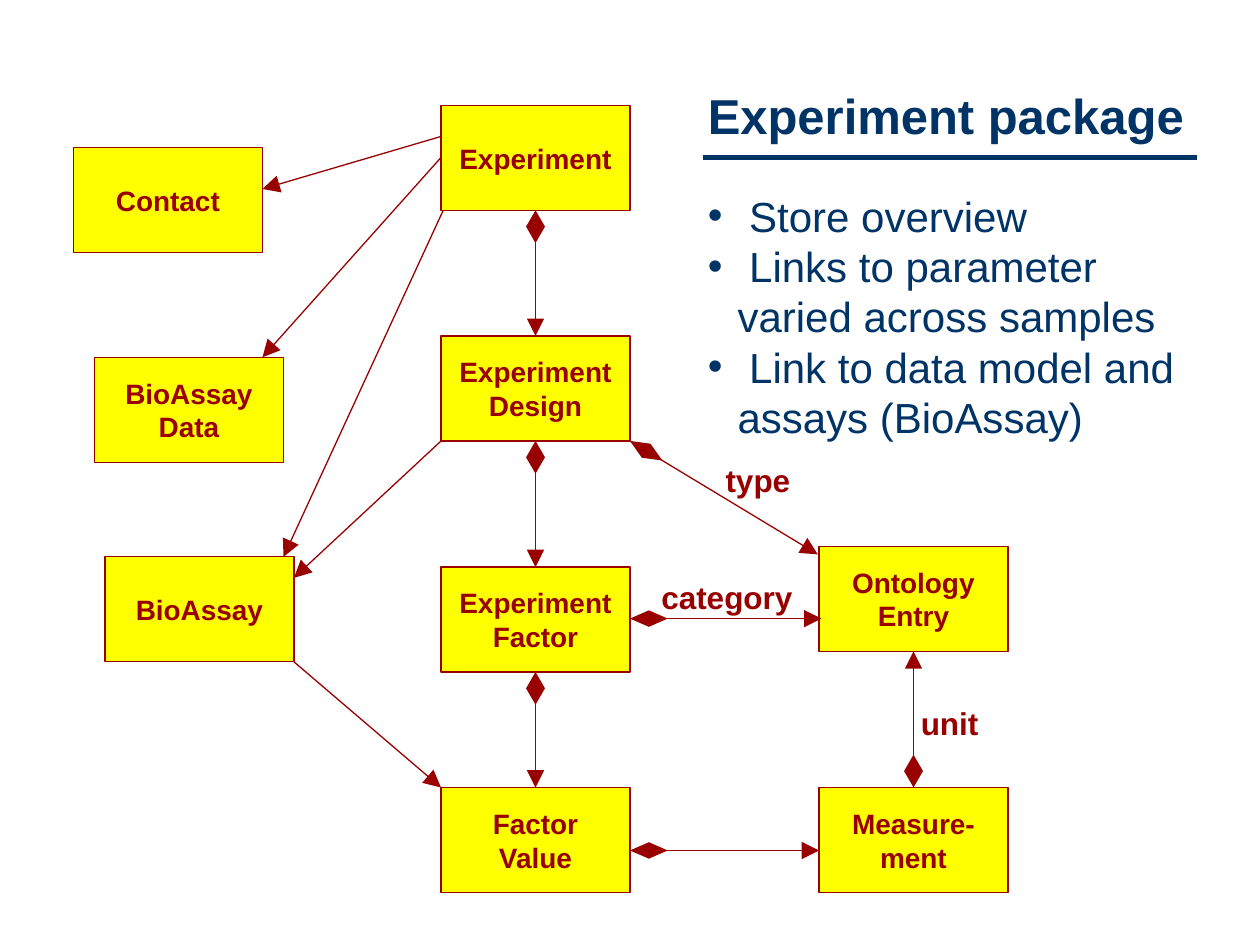
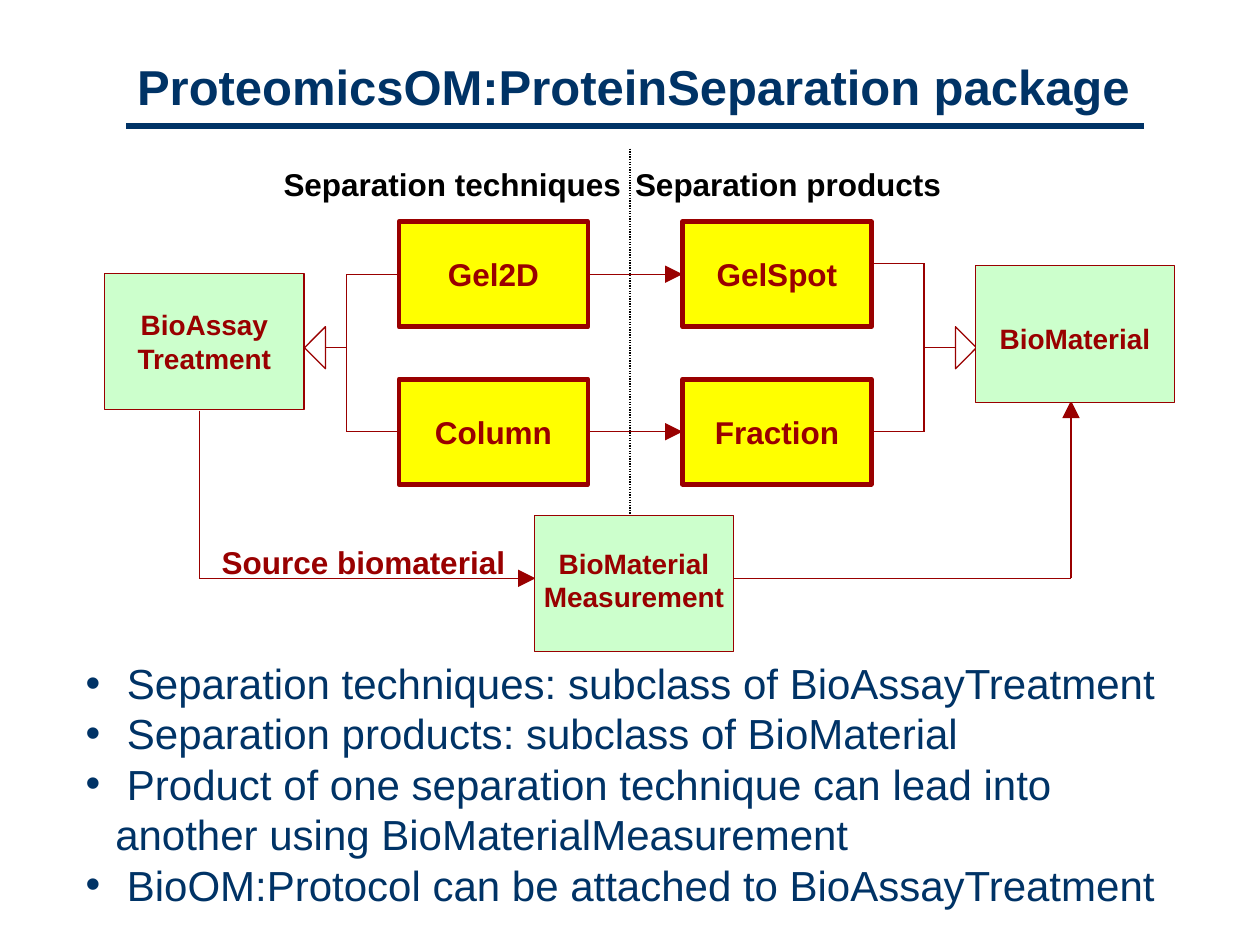
from dataclasses import dataclass
from math import atan2, cos, degrees, sin
from typing import Any, NamedTuple

from pptx import Presentation
from pptx.dml.color import RGBColor
from pptx.enum import dml, shapes, text
from pptx.oxml import ns
from pptx.oxml.xmlchemy import OxmlElement
from pptx.slide import Slide
from pptx.util import Pt


@dataclass(frozen=True)
class Theme:
    font: str = "Arial"
    navy: RGBColor = RGBColor(0x00, 0x33, 0x66)
    maroon: RGBColor = RGBColor(0x99, 0x00, 0x00)
    yellow: RGBColor = RGBColor(0xFF, 0xFF, 0x00)
    mint: RGBColor = RGBColor(0xCC, 0xFF, 0xCC)
    black: RGBColor = RGBColor(0x00, 0x00, 0x00)
    title: float = 28
    body: float = 24
    label: float = 18
    entity: float = 16
    hanging: float = 17
    hairline: float = 0.74
    heavy: float = 2.69
    rule: float = 3


THEME = Theme()
CLASS_W, CLASS_H = 108, 60
PARENT_W, PARENT_H = 114, 78
LABEL_SLACK = 14


class Point(NamedTuple):
    x: float
    y: float


class Frame(NamedTuple):
    left: float
    top: float
    width: float
    height: float


@dataclass(frozen=True)
class Entity:
    name: str
    left: float
    top: float
    width: float = CLASS_W
    height: float = CLASS_H
    fill: RGBColor = THEME.yellow
    border: float = THEME.hairline
    size: float = THEME.entity
    inset: float = 7.2
    text_drop: float = 0


@dataclass(frozen=True)
class Link:
    start: Point
    end: Point
    arrow: bool = True
    color: RGBColor = THEME.maroon
    width: float = THEME.hairline
    dash: Any = None


@dataclass(frozen=True)
class Label:
    wording: str
    frame: Frame
    color: RGBColor = THEME.maroon
    size: float = THEME.label
    align: Any = text.PP_ALIGN.LEFT


def apply(target: Any, values: dict[str, Any]) -> None:
    for name, value in values.items():
        setattr(target, name, value)


def write(frame: Any, lines: list[str], size: float, color: RGBColor,
          bold: bool = True, align: Any = text.PP_ALIGN.LEFT) -> None:
    for index, line in enumerate(lines):
        paragraph = frame.paragraphs[0] if index == 0 else frame.add_paragraph()
        paragraph.alignment = align
        run = paragraph.add_run()
        run.text = line
        apply(run.font, {"name": THEME.font, "size": Pt(size), "bold": bold})
        run.font.color.rgb = color


def draw_entity(slide: Slide, entity: Entity) -> None:
    box = slide.shapes.add_shape(
        shapes.MSO_SHAPE.RECTANGLE,
        *map(Pt, (entity.left, entity.top, entity.width, entity.height)))
    box.shadow.inherit = False
    box.fill.solid()
    box.fill.fore_color.rgb = entity.fill
    box.line.color.rgb = THEME.maroon
    box.line.width = Pt(entity.border)
    apply(box.text_frame, {
        "word_wrap": True,
        "vertical_anchor": text.MSO_ANCHOR.MIDDLE,
        "margin_left": Pt(entity.inset),
        "margin_right": Pt(entity.inset),
        "margin_top": Pt(max(2 * entity.text_drop, 0)),
        "margin_bottom": Pt(max(-2 * entity.text_drop, 0)),
    })
    write(box.text_frame, [entity.name], entity.size, THEME.maroon,
          align=text.PP_ALIGN.CENTER)


def draw_link(slide: Slide, link: Link) -> None:
    connector = slide.shapes.add_connector(
        shapes.MSO_CONNECTOR.STRAIGHT, *map(Pt, (*link.start, *link.end)))
    connector.line.color.rgb = link.color
    apply(connector.line, {"width": Pt(link.width), "dash_style": link.dash})
    properties = connector._element.spPr
    if link.arrow:
        head = OxmlElement("a:tailEnd")
        for name, value in {"type": "triangle", "w": "lg", "len": "lg"}.items():
            head.set(name, value)
        properties.find(ns.qn("a:ln")).append(head)
    properties.append(OxmlElement("a:effectLst"))


def draw_composition(slide: Slide, start: Point, end: Point) -> None:
    draw_link(slide, Link(start, end))
    angle = atan2(end.y - start.y, end.x - start.x)
    upright = start.x == end.x
    width, height = (10.8, 18.7) if upright else (21.6, 9.4)
    reach = max(width, height) / 2
    center = Point(start.x + reach * cos(angle), start.y + reach * sin(angle))
    diamond = slide.shapes.add_shape(
        shapes.MSO_SHAPE.DIAMOND,
        *map(Pt, (center.x - width / 2, center.y - height / 2, width, height)))
    diamond.rotation = 0 if upright else degrees(angle)
    diamond.shadow.inherit = False
    diamond.fill.solid()
    diamond.fill.fore_color.rgb = THEME.maroon
    diamond.line.fill.background()


def draw_generalisation(slide: Slide, tip: Point, trunk_x: float,
                        child_x: float, child_ys: tuple[float, float]) -> None:
    base_x = tip.x + (12 if trunk_x > tip.x else -12)
    outline = slide.shapes.build_freeform(Pt(tip.x), Pt(tip.y))
    outline.add_line_segments(
        [(Pt(base_x), Pt(tip.y - 12)), (Pt(base_x), Pt(tip.y + 12))], close=True)
    triangle = outline.convert_to_shape()
    triangle.shadow.inherit = False
    triangle.fill.background()
    triangle.line.color.rgb = THEME.maroon
    triangle.line.width = Pt(THEME.hairline)
    upper, lower = (Point(trunk_x, y) for y in child_ys)
    branches = [(Point(base_x, tip.y), Point(trunk_x, tip.y)), (upper, lower)]
    branches += [(corner, Point(child_x, corner.y)) for corner in (upper, lower)]
    for start, end in branches:
        draw_link(slide, Link(start, end, arrow=False))


def draw_label(slide: Slide, label: Label) -> None:
    left, top, width, height = label.frame
    if label.align == text.PP_ALIGN.CENTER:
        left -= LABEL_SLACK / 2
    caption = slide.shapes.add_textbox(
        *map(Pt, (left, top, width + LABEL_SLACK, height))).text_frame
    caption.word_wrap = True
    write(caption, [label.wording], label.size, label.color, align=label.align)


def draw_title(slide: Slide, title: str, frame: Frame, start: Point, end_x: float) -> None:
    draw_label(slide, Label(title, frame, THEME.navy, THEME.title))
    draw_link(slide, Link(start, Point(end_x, start.y), False, THEME.navy, THEME.rule))


def draw_bullets(slide: Slide, frame: Frame, points: list[str]) -> None:
    summary = slide.shapes.add_textbox(*map(Pt, frame)).text_frame
    summary.word_wrap = True
    write(summary, points, THEME.body, THEME.navy, bold=False)
    for paragraph in summary.paragraphs:
        properties = paragraph._p.get_or_add_pPr()
        properties.set("marL", str(Pt(THEME.hanging)))
        properties.set("indent", str(-Pt(THEME.hanging)))
        tint = OxmlElement("a:buClr")
        swatch = OxmlElement("a:srgbClr")
        swatch.set("val", str(THEME.navy))
        tint.append(swatch)
        typeface = OxmlElement("a:buFont")
        typeface.set("typeface", THEME.font)
        bullet = OxmlElement("a:buChar")
        bullet.set("char", "•")
        properties.extend([tint, typeface, bullet])


def build_experiment(slide: Slide) -> None:
    core_x, value_x = 252, 468
    core_mid, value_mid = core_x + CLASS_W / 2, value_x + CLASS_W / 2
    core_right = core_x + CLASS_W
    experiment, design, factor, value = 60.2, 192, 324, 450
    ontology = 312.2

    draw_link(slide, Link(Point(264.2, 96.5), Point(162, 318.2)))
    for entity in (
        Entity("Experiment", core_x, experiment),
        Entity("Experiment Design", core_x, design),
        Entity("Experiment Factor", core_x, factor),
        Entity("Factor Value", core_x, value),
        Entity("Ontology Entry", value_x, ontology),
        Entity("Measure-ment", value_x, value),
        Entity("Contact", 42, 84.2),
        Entity("BioAssay Data", 54, 204.2),
        Entity("BioAssay", 60, 318.2),
    ):
        draw_entity(slide, entity)

    for start, end in (
        (Point(core_x, 78), Point(150, 108)),
        (Point(core_x, 90), Point(150, 204.2)),
        (Point(core_x, design + CLASS_H), Point(168, 330.2)),
        (Point(168, 378.2), Point(core_x, value)),
    ):
        draw_link(slide, Link(start, end))

    for owner, part in ((experiment, design), (design, factor), (factor, value)):
        draw_composition(slide, Point(core_mid, owner + CLASS_H), Point(core_mid, part))
    for start, end in (
        (Point(core_right, design + CLASS_H), Point(467.3, 316.8)),
        (Point(core_right, 353.5), Point(469.4, 353.5)),
        (Point(core_right, 486), Point(value_x, 486)),
        (Point(value_mid, value), Point(value_mid, ontology + CLASS_H)),
    ):
        draw_composition(slide, start, end)

    draw_title(slide, "Experiment package", Frame(397.4, 45.4, 285.8, 41),
               Point(402, 90), 684)
    draw_bullets(slide, Frame(397.4, 105.1, 290.2, 151.2), [
        " Store overview",
        " Links to parameter varied across samples",
        " Link to data model and assays (BioAssay)",
    ])
    for role in (
        Label("type", Frame(407.5, 260, 51.1, 28.8)),
        Label("category", Frame(370.8, 326.9, 89.3, 28.8)),
        Label("unit", Frame(519.1, 398.9, 47.5, 28.8)),
    ):
        draw_label(slide, role)


def build_separation(slide: Slide) -> None:
    technique_x, product_x = 228, 390
    gel, column = 126.7, 216.7
    gel_mid, column_mid = gel + CLASS_H / 2, column + CLASS_H / 2
    source_y = 330.5

    for name, left, top in (
        ("Gel2D", technique_x, gel), ("Column", technique_x, column),
        ("GelSpot", product_x, gel), ("Fraction", product_x, column),
    ):
        draw_entity(slide, Entity(name, left, top, border=THEME.heavy, size=THEME.label))

    draw_generalisation(slide, Point(174, 198.7), 198, technique_x, (gel_mid, column_mid))
    draw_generalisation(slide, Point(558, 198.7), 528, product_x + CLASS_W,
                        (150.5, column_mid))
    for y in (gel_mid, column_mid):
        draw_link(slide, Link(Point(technique_x + CLASS_W, y), Point(product_x, y)))
    draw_link(slide, Link(Point(360, 85), Point(360, 301), False, THEME.black,
                          dash=dml.MSO_LINE.ROUND_DOT))
    for start, end, arrow in (
        (Point(114, 234.7), Point(114, source_y), False),
        (Point(114, source_y), Point(306, source_y), True),
        (Point(414, source_y), Point(612, source_y), False),
        (Point(612, source_y), Point(612, 229), True),
    ):
        draw_link(slide, Link(start, end, arrow))

    for name, left, top, drop in (
        ("BioAssay Treatment", 59.8, 156.2, 0),
        ("BioMaterial", 557.3, 151.9, 2.2),
        ("BioMaterial Measurement", 305.3, 294.5, -2.2),
    ):
        draw_entity(slide, Entity(name, left, top, PARENT_W, PARENT_H, THEME.mint,
                                  inset=2, text_drop=drop))

    centered = text.PP_ALIGN.CENTER
    for heading in (
        Label("Separation techniques", Frame(154.8, 90.7, 207.4, 28.8),
              THEME.black, align=centered),
        Label("Separation products", Frame(355.7, 90.7, 189.4, 28.8),
              THEME.black, align=centered),
        Label("Source biomaterial", Frame(119.5, 306.7, 176.4, 28.8), align=centered),
    ):
        draw_label(slide, heading)
    draw_title(slide, "ProteomicsOM:ProteinSeparation package",
               Frame(71.3, 28.8, 581, 41), Point(72, 72), 654)
    draw_bullets(slide, Frame(41.8, 372.2, 652.3, 160), [
        " Separation techniques: subclass of BioAssayTreatment",
        " Separation products: subclass of BioMaterial",
        " Product of one separation technique can lead into another"
        " using BioMaterialMeasurement",
        " BioOM:Protocol can be attached to BioAssayTreatment",
    ])


deck = Presentation()
apply(deck, {"slide_width": Pt(720), "slide_height": Pt(540)})
for build in (build_experiment, build_separation):
    build(deck.slides.add_slide(deck.slide_layouts[6]))
deck.save("out.pptx")
